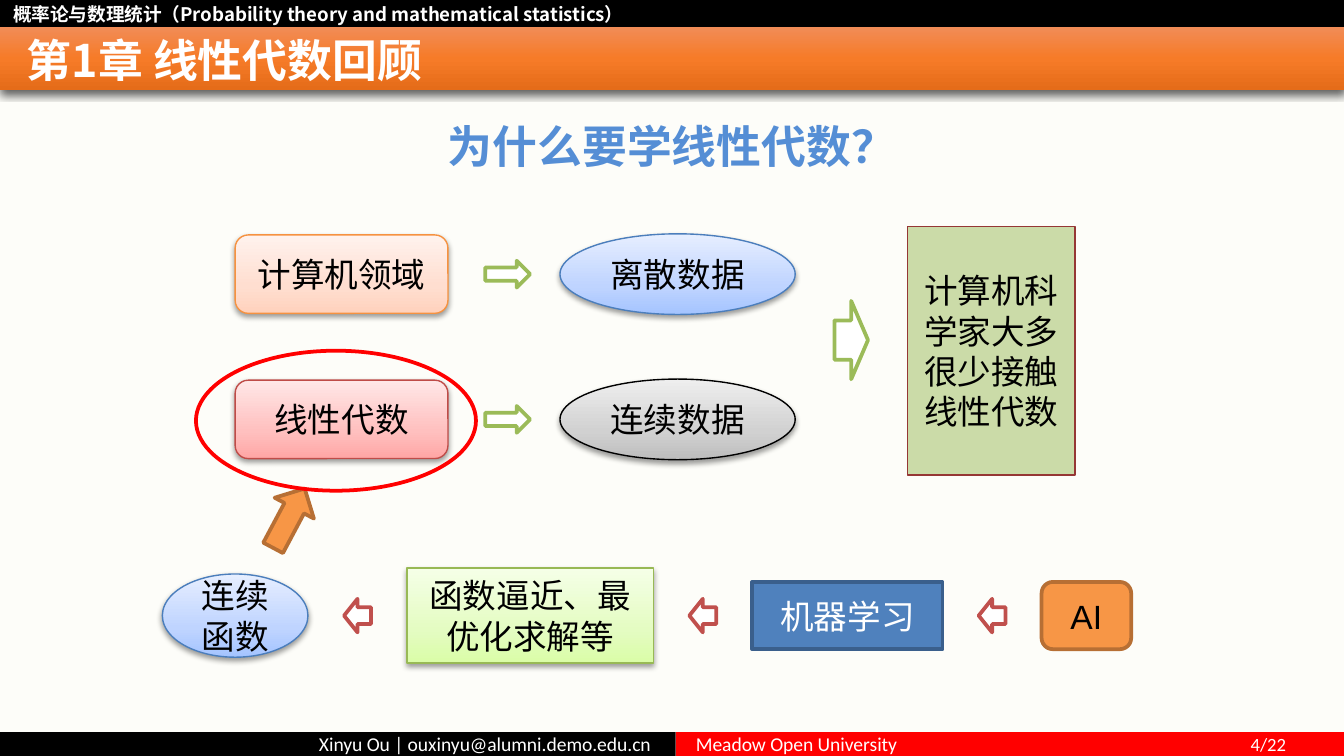
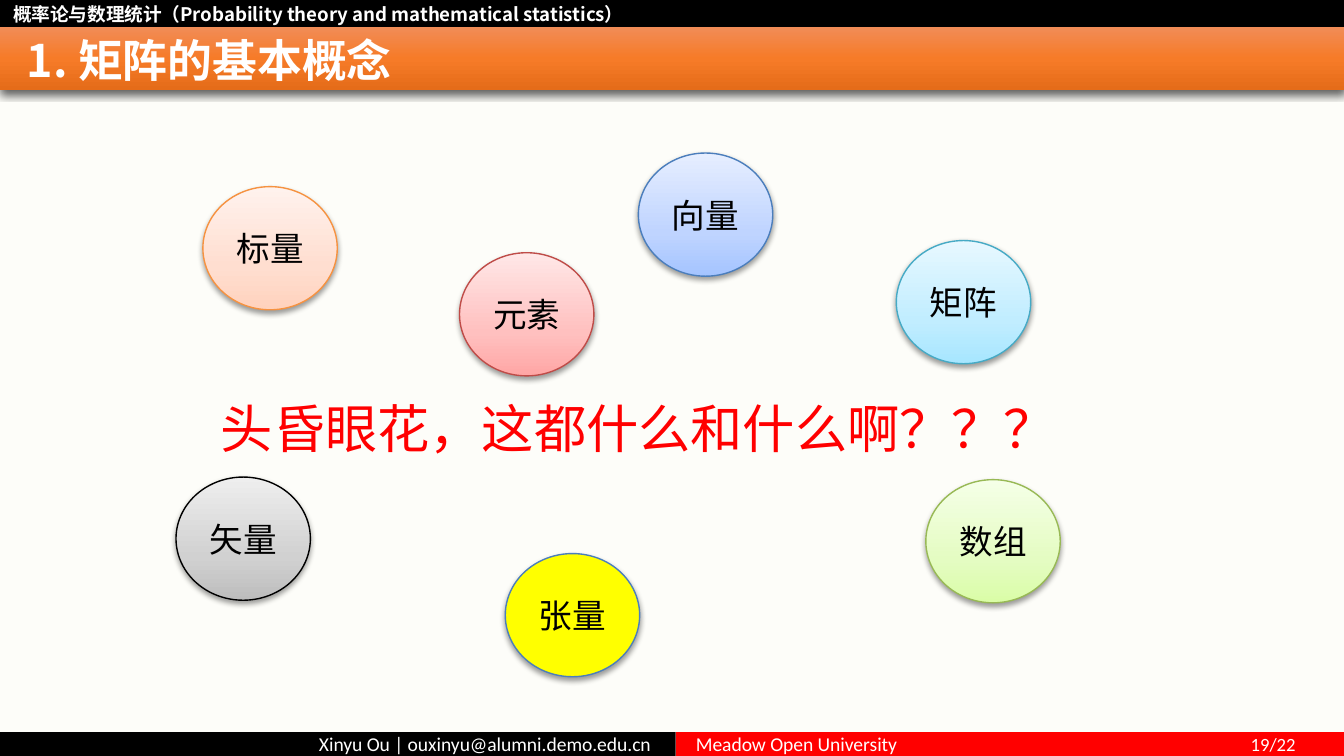
from lxml import etree
from pptx import Presentation
from pptx.dml.color import RGBColor
from pptx.enum.shapes import MSO_SHAPE
from pptx.enum.text import MSO_ANCHOR, MSO_AUTO_SIZE, PP_ALIGN
from pptx.oxml.ns import qn
from pptx.util import Pt

RECT = MSO_SHAPE.RECTANGLE
ROUND = MSO_SHAPE.ROUNDED_RECTANGLE
OVAL = MSO_SHAPE.OVAL
ARROW = MSO_SHAPE.RIGHT_ARROW
LEFT, CENTER, RIGHT = PP_ALIGN.LEFT, PP_ALIGN.CENTER, PP_ALIGN.RIGHT
TOP, MIDDLE = MSO_ANCHOR.TOP, MSO_ANCHOR.MIDDLE
FIXED = MSO_AUTO_SIZE.NONE

WHITE = RGBColor(0xFF, 0xFF, 0xFF)
BLACK = RGBColor(0, 0, 0)
RED = RGBColor(0xFF, 0, 0)
YELLOW = RGBColor(0xFF, 0xFF, 0)
PAPER = RGBColor(0xFD, 0xFD, 0xF9)
SKY = RGBColor(0x55, 0x8E, 0xD5)
STEEL = RGBColor(0x4F, 0x81, 0xBD)
NAVY = RGBColor(0x3A, 0x5F, 0x8C)
AMBER = RGBColor(0xF7, 0x96, 0x46)
BROWN = RGBColor(0xB7, 0x6F, 0x34)
OLIVE = RGBColor(0x9B, 0xBB, 0x59)
WINE = RGBColor(0x95, 0x37, 0x35)
BRICK = RGBColor(0xC0, 0x50, 0x4D)
EDGE = RGBColor(0x4B, 0x7E, 0xBC)


def blend(low, mid, high, at=35, angle=270):
    stops = zip((0, at, 100), map(RGBColor.from_string, (low, mid, high)))
    return tuple(stops), angle


BAND = blend("F18C57", "F67B28", "E56C19", at=50, angle=90)
PEACH = blend("FFD2BD", "FFDED0", "FFF2ED"), RGBColor(0xF6, 0x92, 0x40)
BLUE = blend("A4C4FF", "BFD4FF", "E6EEFF"), EDGE
ROSE = blend("FFA6A5", "FFC0BF", "FFE7E7"), RGBColor(0xBF, 0x4C, 0x48)
GREY = blend("BDBDBD", "D1D1D1", "EEEEEE"), BLACK
LIME = blend("DAFDA7", "E4FCC2", "F5FFE7"), RGBColor(0x98, 0xB9, 0x55)
AQUA = blend("A7E6FF", "C1EDFF", "E7F8FF"), RGBColor(0x46, 0xAA, 0xC5)
GOLD = YELLOW, EDGE

WIDE, HIGH = 720, 405
HAN = "Noto Sans CJK SC"
SOFT = (38, 3.1, 1.6)
DEEP = (63, 4.5, 1.5)


def node(parent, tag, **attrs):
    return etree.SubElement(parent, qn(tag), {k: str(v) for k, v in attrs.items()})


def tint(parent, color, alpha=100):
    rgb = node(parent, "a:srgbClr", val=color)
    if alpha < 100:
        node(rgb, "a:alpha", val=alpha * 1000)


def place(shape, box):
    shape.left, shape.top, shape.width, shape.height = map(Pt, box)


def write(shape, text, size=18, font="Arial", color=BLACK, bold=False,
          align=CENTER, anchor=MIDDLE, inset=(7.2, 3.6, 7.2, 3.6), wrap=True):
    frame = shape.text_frame
    frame.auto_size = FIXED
    frame.word_wrap = wrap
    frame.vertical_anchor = anchor
    (frame.margin_left, frame.margin_top,
     frame.margin_right, frame.margin_bottom) = map(Pt, inset)
    para = frame.paragraphs[0]
    para.alignment = align
    para.space_before = Pt(0)
    run = para.add_run()
    run.text = text
    run.font.size = Pt(size)
    run.font.name = font
    run.font.bold = bold
    run.font.color.rgb = color
    node(run.font._element, "a:ea", typeface=HAN)
    return para


def label(slide, box, text, **form):
    shape = slide.shapes.add_textbox(*map(Pt, box))
    write(shape, text, **form)


def draw(slide, kind, box, fill=None, line=None, width=0.75, shade=None,
         alpha=100, turn=0):
    shape = slide.shapes.add_shape(kind, *map(Pt, box))
    shape.rotation = turn
    props = shape.element.spPr
    if fill is None:
        shape.fill.background()
    elif isinstance(fill, RGBColor):
        shape.fill.solid()
        shape.fill.fore_color.rgb = fill
        if alpha < 100:
            solid = props.find(qn("a:solidFill"))
            solid.clear()
            tint(solid, fill, alpha)
    else:
        stops, angle = fill
        shape.fill.gradient()
        grad = props.find(qn("a:gradFill"))
        grad.clear()
        group = node(grad, "a:gsLst")
        for at, color in stops:
            tint(node(group, "a:gs", pos=at * 1000), color)
        node(grad, "a:lin", ang=angle * 60000, scaled=0)
    if line is None:
        shape.line.fill.background()
    else:
        shape.line.color.rgb = line
        shape.line.width = Pt(width)
    shape.shadow.inherit = False
    if shade:
        dark, blur, dist = shade
        drop = node(props.find(qn("a:effectLst")), "a:outerShdw",
                    blurRad=Pt(blur), dist=Pt(dist), dir=5400000, rotWithShape=0)
        tint(drop, BLACK, dark)
    return shape


def soft(slide, kind, box, text, style):
    fill, line = style
    write(draw(slide, kind, box, fill, line, shade=SOFT), text)


def mid(x, y, w, h):
    return x, y - h / 2, w, h


def header(slide, box, title):
    x, y, w, h = box
    draw(slide, RECT, (x, y, w, 14.4), BLACK)
    label(slide, (x, y + 1.4, w, 12.2),
          "概率论与数理统计（Probability theory and mathematical statistics）",
          size=10, font=HAN, color=WHITE, bold=True, align=LEFT, anchor=TOP,
          inset=(7.2, 0, 7.2, 0))
    draw(slide, RECT, (x, y + 14.4, w, h - 14.4), BAND, shade=DEEP)
    head = slide.shapes.title
    head.element.getparent().append(head.element)
    place(head, (x, y + 17.3, w, 28.8))
    write(head, title, size=24, font=HAN, color=WHITE, bold=True, align=LEFT,
          inset=(14.4, 0, 0, 0))


def footer(slide, box, page):
    x, y, w, h = box
    half = 362
    form = dict(size=10.5, font="Calibri", color=WHITE, inset=(10.8, 0, 10.8, 0))
    left = draw(slide, RECT, (x, y, half, h), BLACK)
    write(left, "Xinyu Ou | ouxinyu@alumni.demo.edu.cn", align=RIGHT,
          **{**form, "inset": (10.8, 0, 13.2, 0)})
    right = draw(slide, RECT, (x + half, y, w - half, h), RED)
    write(right, "Meadow Open University", align=LEFT, **form)
    label(slide, (x + w - 60.8, y, 60.8, h), page, align=LEFT,
          **{**form, "size": 10})


def frame(deck, layout, title, page):
    slide = deck.slides.add_slide(deck.slide_layouts[layout])
    slide.background.fill.solid()
    slide.background.fill.fore_color.rgb = PAPER
    header(slide, (0, 0, WIDE, 48.2), title)
    footer(slide, (0, HIGH - 12.7, WIDE, 12.7), page)
    return slide


def lead(slide, box, text):
    body = slide.placeholders[1]
    body.element.getparent().append(body.element)
    place(body, box)
    para = write(body, text, size=24, font=HAN, color=SKY, bold=True, anchor=TOP,
                 inset=(20, 0, 20, 0))
    props = para._p.get_or_add_pPr()
    props.set("marL", "0")
    props.set("indent", "0")
    node(props, "a:buNone")


def fields(slide, box):
    x, y, w, h = box
    rows = (("计算机领域", PEACH, "离散数据", BLUE),
            ("线性代数", ROSE, "连续数据", GREY))
    for i, (field, warm, data, cool) in enumerate(rows):
        line = y + 25.4 + 77.8 * i
        soft(slide, ROUND, mid(x, line, 114, 42), field, warm)
        soft(slide, OVAL, mid(x + 174, line, 126, 43.2), data, cool)
        draw(slide, ARROW, mid(x + 134, line, 24, 14.4), WHITE, OLIVE, 2)
    draw(slide, ARROW, mid(x + 321, y + 60.7, 18, 42), WHITE, OLIVE, 2)
    note = draw(slide, RECT, (x + w - 90, y, 90, h), OLIVE, WINE, alpha=50)
    write(note, "计算机科学家大多很少接触线性代数")
    draw(slide, OVAL, mid(x - 21, y + 103.9, 150, 75), None, RED, 2)


def chain(slide, box):
    x, y, w, h = box
    line = y + 64.8
    steps = ((OVAL, "连续函数", 78, 44.6, *BLUE, 0.75, SOFT, BLACK),
             (RECT, "函数逼近、最优化求解等", 132, 51, *LIME, 0.75, SOFT, BLACK),
             (RECT, "机器学习", 102, 36, STEEL, NAVY, 2, None, WHITE),
             (ROUND, "AI", 48, 36, AMBER, BROWN, 2, None, BLACK))
    gap = (w - sum(step[2] for step in steps)) / (len(steps) - 1)
    left = x
    for kind, text, wide, high, fill, edge, width, shade, color in steps:
        if left > x:
            draw(slide, ARROW, mid(left - gap / 2 - 7.2, line, 14.4, 18),
                 WHITE, BRICK, 2, turn=180)
        step = draw(slide, kind, mid(left, line, wide, high), fill, edge, width, shade)
        write(step, text, color=color)
        left += wide + gap
    draw(slide, ARROW, (x + 49.8, y + 0.7, 36, 23.8), AMBER, BROWN, 2, turn=298)


def terms(slide, box):
    x, y, w, h = box
    balls = (("标量", 14.7, 18, PEACH), ("向量", 248, 0, BLUE),
             ("张量", 176.7, 214.6, GOLD), ("矩阵", 386.2, 46.9, AQUA),
             ("矢量", 0.3, 173.6, GREY), ("数组", 402, 175, LIME),
             ("元素", 152.2, 53.4, ROSE))
    for text, dx, dy, style in balls:
        soft(slide, OVAL, (x + dx, y + dy, 72, 66), text, style)
    label(slide, (x + 14.7, y + 126.8, w - 14.7, 41),
          "头昏眼花，这都什么和什么啊？？？", size=28, color=RED, anchor=TOP,
          wrap=False)


def main():
    deck = Presentation()
    deck.slide_width, deck.slide_height = Pt(WIDE), Pt(HIGH)

    why = frame(deck, 1, "第1章 线性代数回顾", "4/22")
    lead(why, (0, 63.4, WIDE, 28.8), "为什么要学线性代数？")
    chain(why, (87, 265, 519, 90))
    fields(why, (126, 121.5, 450, 133))

    basics = frame(deck, 5, "1. 矩阵的基本概念", "19/22")
    terms(basics, (94, 82, 481.3, 281))

    deck.save("out.pptx")


if __name__ == "__main__":
    main()
